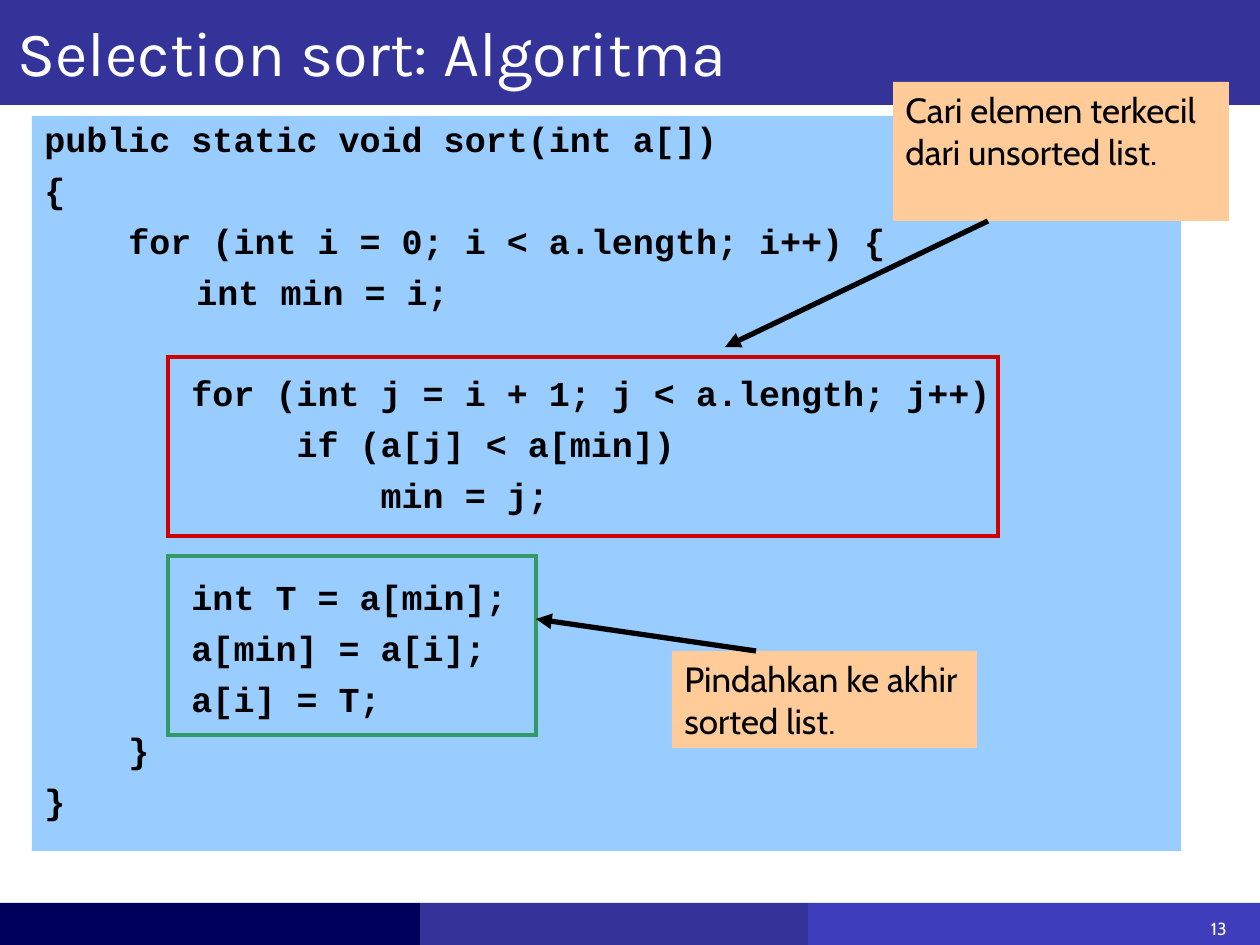
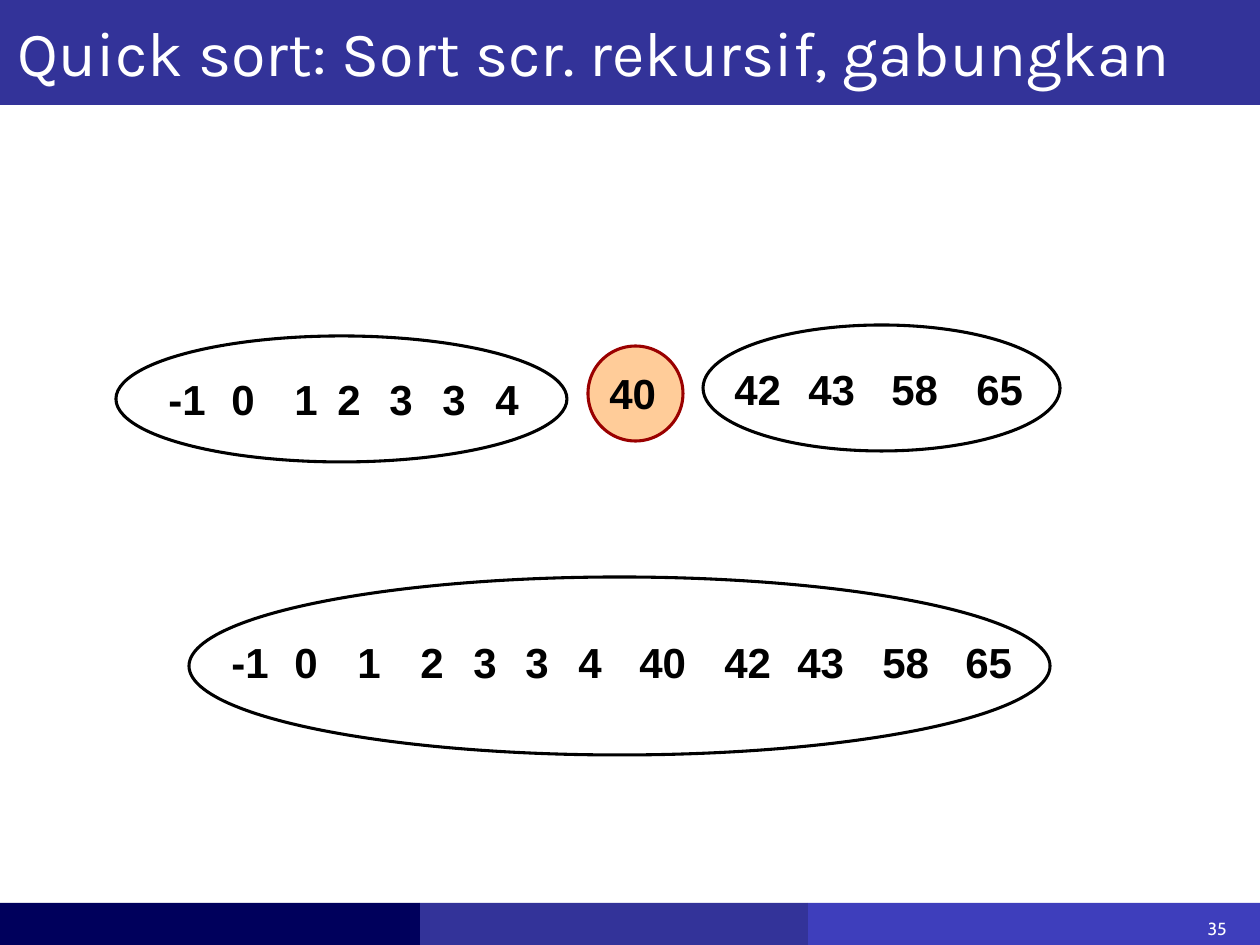
from lxml import etree
from pptx import Presentation
from pptx.dml.color import RGBColor
from pptx.enum.shapes import MSO_CONNECTOR, MSO_SHAPE
from pptx.enum.text import MSO_ANCHOR, PP_ALIGN
from pptx.oxml.ns import qn
from pptx.util import Pt

RECT, OVAL = MSO_SHAPE.RECTANGLE, MSO_SHAPE.OVAL
LINE = MSO_CONNECTOR.STRAIGHT
LEFT, RIGHT = PP_ALIGN.LEFT, PP_ALIGN.RIGHT
TOP, BOTTOM = MSO_ANCHOR.TOP, MSO_ANCHOR.BOTTOM
PX = 914400 / 126
WIDE, HIGH = 1260, 945
NAVY, BLUE, VIOLET = "00005C", "333399", "3E3EBC"
SKY, PEACH, WHITE, BLACK = "99CCFF", "FFCC99", "FFFFFF", "000000"
RED, GREEN, MAROON = "CC0000", "339966", "9A0000"
HEAD, BODY, CODE, DIGIT = "Karla", "Cabin", "Courier New", "Arial"
hue = RGBColor.from_string


def draw(slide, form, area, fill=None, line=None, width=1.75):
    shape = slide.shapes.add_shape(form, *[round(n * PX) for n in area])
    shape.shadow.inherit = False
    if fill:
        shape.fill.solid()
        shape.fill.fore_color.rgb = hue(fill)
    else:
        shape.fill.background()
    if line:
        shape.line.color.rgb = hue(line)
        shape.line.width = Pt(width)
        etree.SubElement(shape.line._get_or_add_ln(), qn("a:miter"), lim="800000")
    else:
        shape.line.fill.background()
    return shape


def write(slide, text, area=None, shape=None, font=BODY, size=20, color=BLACK,
          bold=False, align=LEFT, anchor=TOP, wrap=True):
    if shape is None:
        shape = slide.shapes.add_textbox(*[round(n * PX) for n in area])
    frame = shape.text_frame
    frame.word_wrap = wrap
    frame.vertical_anchor = anchor
    frame.text = text
    for para in frame.paragraphs:
        para.alignment = align
        for run in para.runs:
            run.font.name = font
            run.font.size = Pt(size)
            run.font.bold = bold
            run.font.color.rgb = hue(color)
    return frame


deck = Presentation()
deck.slide_width, deck.slide_height = round(WIDE * PX), round(HIGH * PX)
pages = []
for title, number in [
    ("Selection sort: Algoritma", "13"),
    ("Quick sort: Sort scr. rekursif, gabungkan", "35"),
]:
    page = deck.slides.add_slide(deck.slide_layouts[6])
    for left, right, color in [(808, WIDE, VIOLET), (420, 808, BLUE), (0, 420, NAVY)]:
        draw(page, RECT, (left, 903, right - left, 42), color)
    write(page, number, (1176, 912, 63, 36), size=10, color=WHITE, align=RIGHT)
    draw(page, RECT, (0, 0, WIDE, 105), BLUE)
    write(page, title, (5, 7, 1255, 88), font=HEAD, size=36, color=WHITE, anchor=BOTTOM)
    pages.append(page)

code, quick = pages

lines = [
    "public static void sort(int a[])",
    "{",
    "    for (int i = 0; i < a.length; i++) {",
    "\t     int min = i;",
    "       for (int j = i + 1; j < a.length; j++)",
    "            if (a[j] < a[min])",
    "                min = j;",
    "       int T = a[min];",
    "       a[min] = a[i];",
    "       a[i] = T;",
    "    }",
    "}",
]
panel = draw(code, RECT, (32, 116, 1149, 735), SKY)
frame = write(code, "\n".join(lines), shape=panel, font=CODE, bold=True)
for row, para in enumerate(frame.paragraphs):
    para.line_spacing = 0.9
    para.space_after = Pt(7.5)
    para.space_before = Pt(29 if row in (4, 7) else 0)
    props = para._p.get_or_add_pPr()
    props.set("marL", str(round(47 * PX)))
    props.set("indent", str(round(-47 * PX)))

for note, area in [
    ("Cari elemen terkecil dari unsorted list.", (893, 82, 336, 139)),
    ("Pindahkan ke akhir sorted list.", (672, 651, 305, 97)),
]:
    write(code, note, shape=draw(code, RECT, area, PEACH))

for area, color in [((168, 357, 830, 179), RED), ((168, 556, 368, 179), GREEN)]:
    draw(code, RECT, area, line=color, width=2.5)

for ends in [(988, 221, 725, 347), (756, 651, 536, 619)]:
    arrow = code.shapes.add_connector(LINE, *[round(n * PX) for n in ends])
    arrow.line.color.rgb = hue(BLACK)
    arrow.line.width = Pt(3)
    etree.SubElement(arrow.line._get_or_add_ln(), qn("a:tailEnd"), type="triangle")
    etree.SubElement(arrow._element.spPr, qn("a:effectLst"))

lists = [
    ((116, 336, 451, 126), None, BLACK, 367,
     [("-1", 156), ("0", 219), ("1", 282), ("2", 325), ("3", 377), ("3", 430), ("4", 483)]),
    ((703, 325, 357, 126), None, BLACK, 357,
     [("42", 722), ("43", 796), ("58", 879), ("65", 964)]),
    ((189, 577, 861, 178), None, BLACK, 630,
     [("-1", 219), ("0", 282), ("1", 345), ("2", 408), ("3", 461), ("3", 513),
      ("4", 566), ("40", 627), ("42", 712), ("43", 785), ("58", 870), ("65", 953)]),
    ((588, 346, 95, 95), PEACH, MAROON, 361, [("40", 597)]),
]
for area, fill, edge, top, items in lists:
    draw(quick, OVAL, area, fill, edge)
    for value, left in items:
        width = 24 + 24 * len(value)
        write(quick, value, (left, top, width, 63), font=DIGIT, size=24, bold=True, wrap=False)

deck.save("out.pptx")
